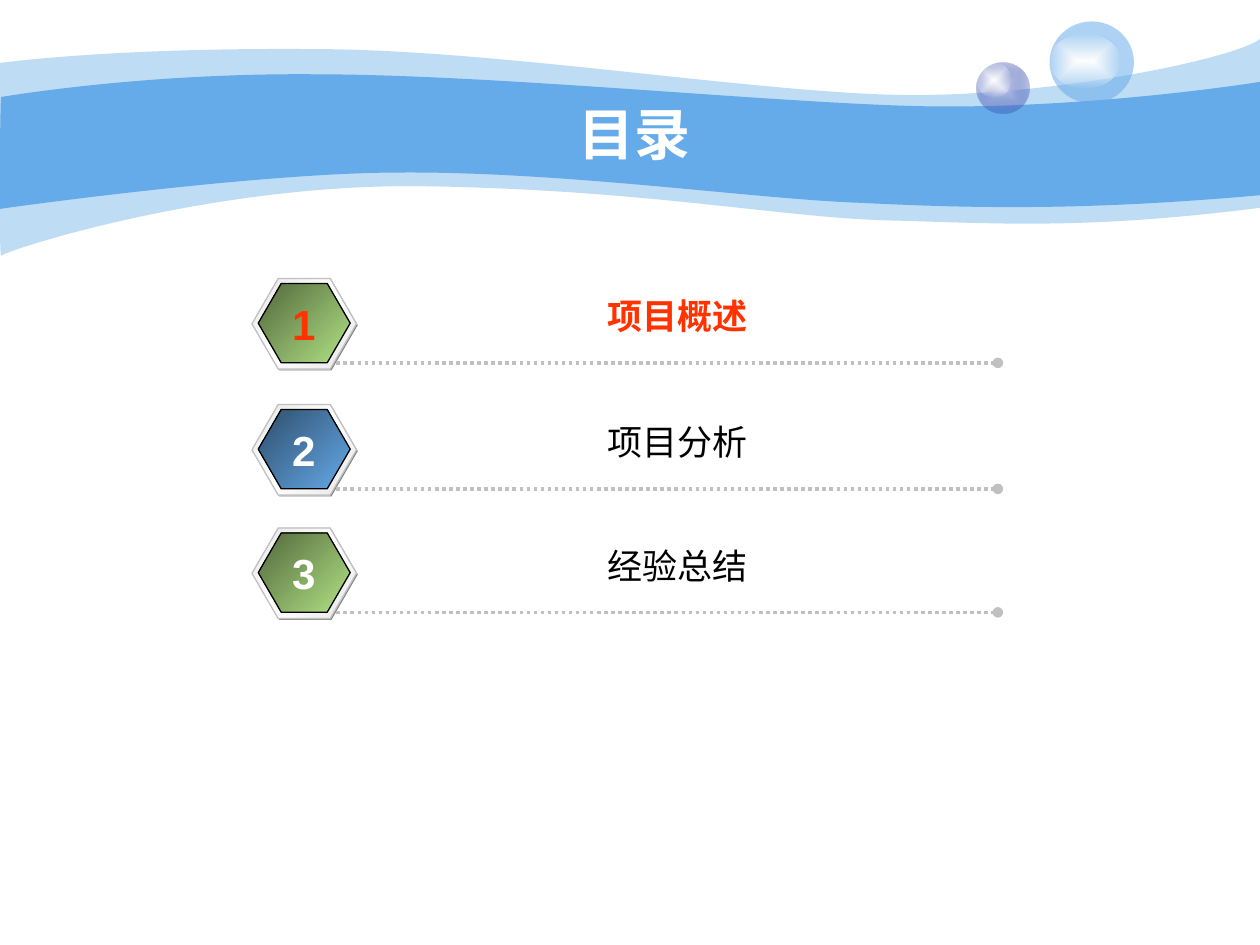
import pptx
import pptx.util
import pptx.dml.color
import pptx.enum.dml
import pptx.enum.shapes
import pptx.enum.text
import pptx.oxml
import pptx.oxml.ns
import lxml.etree

Inches = pptx.util.Inches
Pt = pptx.util.Pt
RGBColor = pptx.dml.color.RGBColor
MSO_SHAPE = pptx.enum.shapes.MSO_SHAPE
MSO_ANCHOR = pptx.enum.text.MSO_ANCHOR
MSO_AUTO_SIZE = pptx.enum.text.MSO_AUTO_SIZE
qn = pptx.oxml.ns.qn

COLORS = {
    "blue": "65AAE9", "navy": "2E4E6B", "green": "B2E385", "olive": "52683D",
    "white": "FFFFFF", "clear": "FEFEFE", "black": "000000", "red": "FF3300",
    "shade": "808080", "silver": "C0C0C0", "pale": "E6E6E6", "lilac": "C6CCE8",
    "indigo": "233DA9",
}


def paint(shape, stops, angle=None, line_color=None):
    """Fill with (position, colour, opacity) stops: one is solid, no angle is radial."""
    shape.shadow.inherit = False
    colors = []
    for position, name, opacity in stops:
        alpha = f'<a:alpha val="{opacity * 1000}"/>' if opacity < 100 else ""
        colors.append(f'<a:srgbClr val="{COLORS[name]}">{alpha}</a:srgbClr>')
    if len(stops) == 1:
        tag, body = "solidFill", colors[0]
    else:
        tag = "gradFill"
        body = "".join(f'<a:gs pos="{stop[0] * 1000}">{color}</a:gs>'
                       for stop, color in zip(stops, colors))
        direction = (f'<a:lin ang="{angle * 60000}" scaled="1"/>' if angle is not None else
                     '<a:path path="rect"><a:fillToRect l="50000" t="50000" r="50000" b="50000"/></a:path>')
        body = f"<a:gsLst>{body}</a:gsLst>{direction}"
    shape.fill.solid()
    properties = shape._element.spPr
    properties.replace(properties.find(qn("a:solidFill")), pptx.oxml.parse_xml(
        f'<a:{tag} {pptx.oxml.ns.nsdecls("a")}>{body}</a:{tag}>'))
    if line_color:
        shape.line.color.rgb = RGBColor.from_string(COLORS[line_color])
        shape.line.width = Pt(0.75)
    else:
        shape.line.fill.background()


def add_label(text, box, size, color, bold=True, wrap=True):
    label = slide.shapes.add_textbox(*map(Inches, box))
    frame = label.text_frame
    frame.text = text
    frame.word_wrap = wrap
    frame.auto_size = MSO_AUTO_SIZE.SHAPE_TO_FIT_TEXT
    paragraph = frame.paragraphs[0]
    paragraph.alignment = pptx.enum.text.PP_ALIGN.CENTER
    font = paragraph.runs[0].font
    font.name, font.size, font.bold = "Arial", Pt(size), bold
    font.color.rgb = RGBColor.from_string(COLORS[color])
    return frame


presentation = pptx.Presentation()
presentation.slide_width = Inches(10)
presentation.slide_height = Inches(7.5)
slide = presentation.slides.add_slide(presentation.slide_layouts[6])

# Waves: opacity, start point, then segments (a line end, or two controls and a curve end)
waves = [
    (41, (0, 0.5), [
        [(0.24, 0.47), (1.07, 0.38), (2.47, 0.39)],
        [(3.86, 0.39), (5.75, 0.7), (6.99, 0.75)],
        [(8.22, 0.8), (9.8, 0.47), (10, 0.31)],
        [(10, 1.65)],
        [(8.58, 1.83), (7.87, 1.77), (7.05, 1.75)],
        [(6.22, 1.73), (5.15, 1.51), (3.43, 1.48)],
        [(1.72, 1.44), (0.04, 1.99), (0.01, 2.03)],
        [(-0.01, 2.08), (0, 0.75), (0, 0.5)]]),
    (100, (0.01, 0.77), [
        [(0.02, 0.77), (1.1, 0.58), (2.48, 0.59)],
        [(3.86, 0.59), (5.95, 0.8), (7.18, 0.84)],
        [(8.41, 0.88), (9.76, 0.69), (10, 0.65)],
        [(10, 1.55)],
        [(8.53, 1.68), (7.65, 1.65), (6.82, 1.61)],
        [(5.99, 1.58), (4.47, 1.36), (3.17, 1.37)],
        [(2.03, 1.37), (-0.02, 1.66), (-0.01, 1.66)],
        [(0, 1.66), (0, 0.77), (0.01, 0.77)]]),
]
for opacity, start, segments in waves:
    builder = slide.shapes.build_freeform(*map(Inches, start))
    builder.add_line_segments(
        [(Inches(x), Inches(y)) for segment in segments for x, y in segment], close=True)
    wave = builder.convert_to_shape()
    # Join the points of each curved segment into one Bezier
    lines = iter(list(wave._element.iter(qn("a:lnTo"))))
    for segment in segments:
        parts = [next(lines) for point in segment]
        if len(parts) == 3:
            curve = lxml.etree.Element(qn("a:cubicBezTo"))
            parts[0].addprevious(curve)
            for part in parts:
                curve.append(part[0])
                part.getparent().remove(part)
    paint(wave, [(0, "blue", opacity)])

# Bubbles with highlights
highlight = [(0, "white", 100), (100, "clear", 0)]
bubbles = [
    [((7.75, 0.5, 0.42, 0.4), [(0, "lilac", 100), (100, "indigo", 31)]),
     ((7.75, 0.5, 0.28, 0.27), highlight)],
    [((8.33, 0.17, 0.67, 0.65), [(0, "blue", 53)]),
     ((8.33, 0.27, 0.56, 0.43), highlight)],
]
for bubble in bubbles:
    group = slide.shapes.add_group_shape()
    for box, stops in bubble:
        paint(group.shapes.add_shape(MSO_SHAPE.OVAL, *map(Inches, box)), stops)

# Title
title = add_label("目录", (1, 0.75, 8.08, 0.62), 32, "white")
title.auto_size = MSO_AUTO_SIZE.NONE
title.vertical_anchor = MSO_ANCHOR.MIDDLE

# Contents rows: top, text, colours of badge, number and text, bold
rows = [
    (2.21, "项目概述", ("green", "olive"), "red", "red", True),
    (3.21, "项目分析", ("blue", "navy"), "white", "black", False),
    (4.19, "经验总结", ("green", "olive"), "white", "black", False),
]
rim = [(0, "pale", 100), (50, "white", 100), (100, "pale", 100)]
for number, (top, text, (light, dark), number_color, text_color, bold) in enumerate(rows, 1):
    # Badge: shade, rim and face
    layers = [
        ((2.01, top + 0.01, 0.83, 0.72), [(0, "shade", 100)], None),
        ((2, top, 0.83, 0.72), rim, "silver"),
        ((2.05, top + 0.04, 0.73, 0.63), [(0, light, 100), (100, dark, 100)], "black"),
    ]
    badge = slide.shapes.add_group_shape()
    for box, stops, line_color in layers:
        hexagon = badge.shapes.add_shape(MSO_SHAPE.HEXAGON, *map(Inches, box))
        hexagon.adjustments[0] = 0.29
        paint(hexagon, stops, 225, line_color)

    # Dotted rule with a round end
    y = Inches(top + 0.67)
    rule = slide.shapes.add_connector(
        pptx.enum.shapes.MSO_CONNECTOR.STRAIGHT, Inches(2.67), y, Inches(7.92), y)
    rule.line.color.rgb = RGBColor.from_string(COLORS["silver"])
    rule.line.width = Pt(2)
    rule.line.dash_style = pptx.enum.dml.MSO_LINE.ROUND_DOT
    properties = rule._element.spPr
    lxml.etree.SubElement(properties.find(qn("a:ln")), qn("a:tailEnd"), type="oval")
    lxml.etree.SubElement(properties, qn("a:effectLst"))

    add_label(text, (2.92, top + 0.08, 4.92, 0.44), 20, text_color, bold)
    add_label(str(number), (2.22, top + 0.11, 0.38, 0.5), 24, number_color, wrap=False)

presentation.save("out.pptx")
